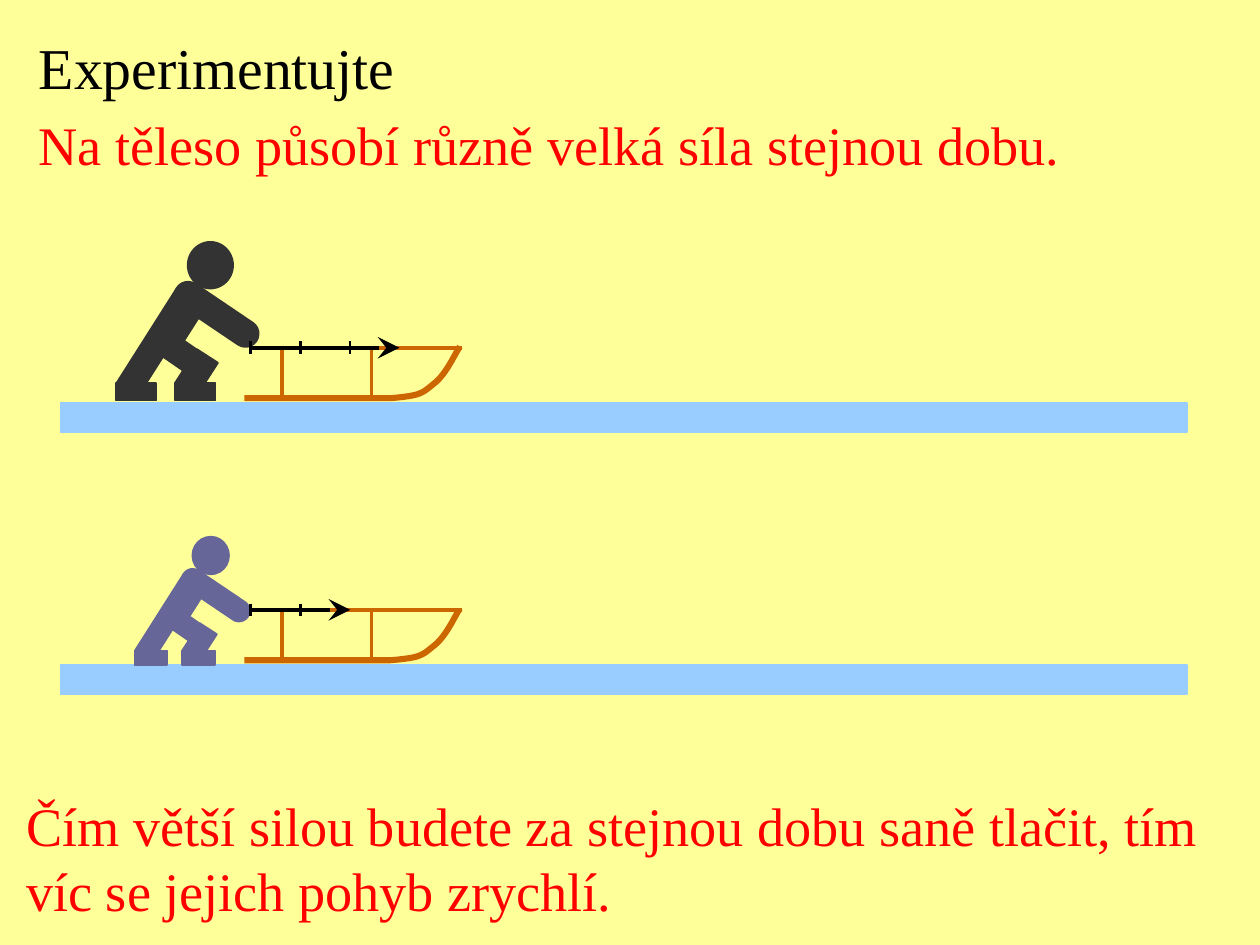
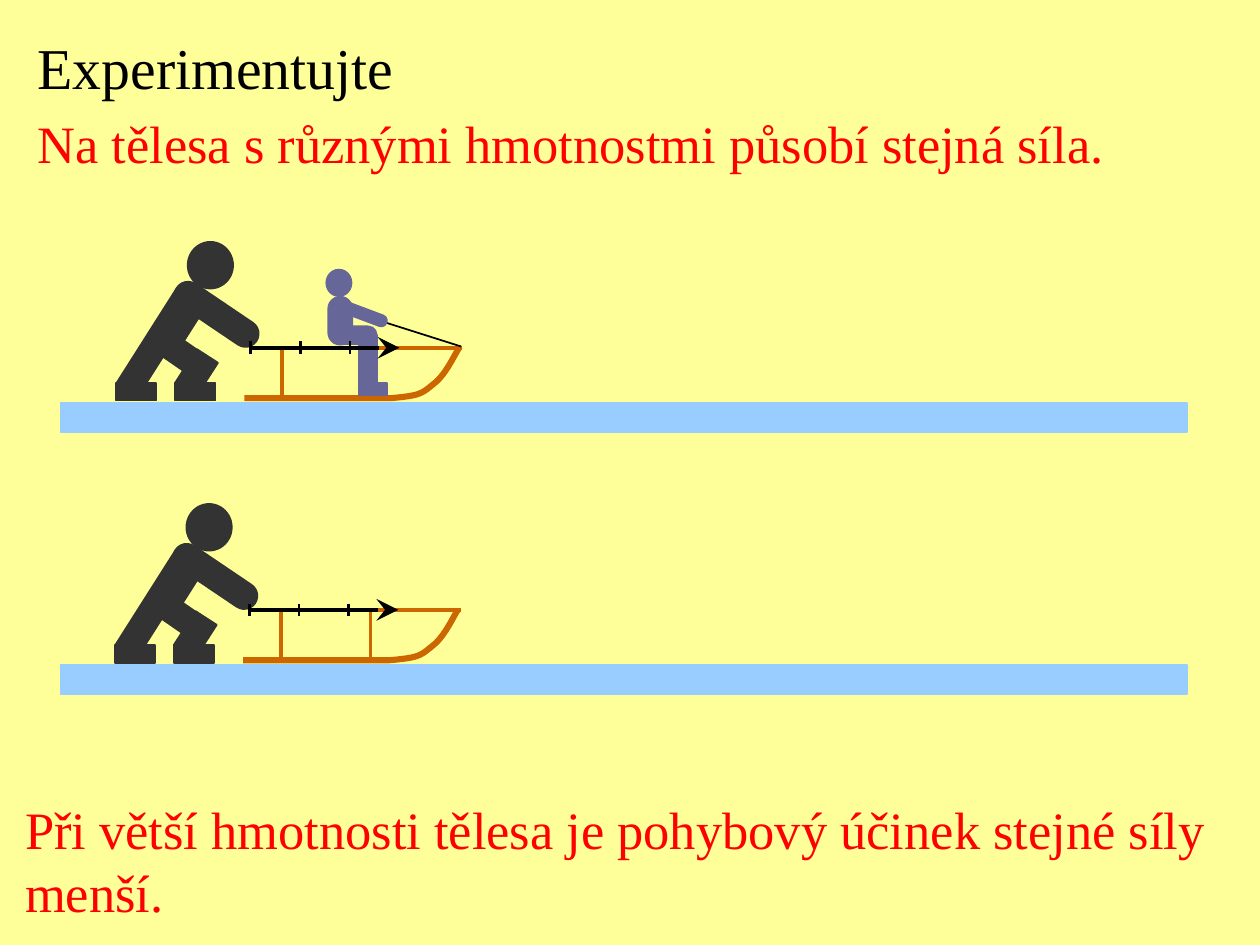
from dataclasses import dataclass

from lxml.etree import SubElement
from pptx import Presentation
from pptx.dml.color import RGBColor
from pptx.enum.shapes import MSO_CONNECTOR, MSO_SHAPE
from pptx.enum.text import MSO_AUTO_SIZE
from pptx.oxml.ns import qn
from pptx.util import Pt

PIXEL = 9144


@dataclass(frozen=True)
class Theme:
    background: str = "FFFF99"
    ice: str = "99CCFF"
    wood: str = "CC6600"
    adult: str = "333333"
    child: str = "666699"
    ink: str = "000000"
    accent: str = "FF0000"
    font: str = "Times New Roman"
    title_size: int = 33
    title_gap: float = 6.1
    hairline: float = 1
    tick_width: float = 1.5
    beam_width: float = 2
    arrow_width: float = 2.5
    runner_width: float = 3.5


@dataclass(frozen=True)
class Box:
    left: int
    top: int
    width: int
    height: int


THEME = Theme()

PUSHER_HEIGHT = 124
PUSHER_PARTS = [
    (MSO_SHAPE.RECTANGLE, 14, 35, 20, 89, 32.4),
    (MSO_SHAPE.RECTANGLE, 0, 103, 14, 32, 90),
    (MSO_SHAPE.RECTANGLE, 47, 103, 14, 32, 90),
    (MSO_SHAPE.RECTANGLE, 45, 88, 20, 32, 32.8),
    (MSO_SHAPE.RECTANGLE, 30, 74, 20, 26, 304.7),
    (MSO_SHAPE.RECTANGLE, 35, 39, 20, 42, 32.4),
    (MSO_SHAPE.ROUNDED_RECTANGLE, 33, 47, 76, 21, 34),
    (MSO_SHAPE.OVAL, 48, 0, 36, 37, 0),
]
RIDER_HEIGHT = 100
RIDER_PARTS = [
    (MSO_SHAPE.RECTANGLE, 40, 84, 10, 22, 90),
    (MSO_SHAPE.ROUNDED_RECTANGLE, 11, 45, 37, 14, 0),
    (MSO_SHAPE.OVAL, 8, 0, 20, 21, 0),
    (MSO_SHAPE.ROUNDED_RECTANGLE, 0, 31, 38, 19, 270),
    (MSO_SHAPE.ROUNDED_RECTANGLE, 19, 31, 38, 9, 200.6),
    (MSO_SHAPE.RECTANGLE, 34, 52, 14, 42, 0),
]
RUNNER_CURVES = [
    ((116, 41), (141, 39), (141, 37), (151, 29)),
    ((151, 29), (160, 22), (167, 6), (171, 0)),
]


def emu(length):
    return round(length * PIXEL)


def color(value):
    return RGBColor.from_string(value)


def apply_format(target, values):
    for name, value in values.items():
        setattr(target, name, value)


def add_shape(slide, kind, box, fill, outlined=True, rotation=0):
    shape = slide.shapes.add_shape(
        kind, emu(box.left), emu(box.top), emu(box.width), emu(box.height))
    shape.shadow.inherit = False
    shape.rotation = rotation
    shape.fill.solid()
    shape.fill.fore_color.rgb = color(fill)
    if outlined:
        shape.line.color.rgb = color(fill)
        shape.line.width = Pt(THEME.hairline)
    else:
        shape.line.fill.background()
    if kind == MSO_SHAPE.ROUNDED_RECTANGLE:
        shape.adjustments[0] = 0.5
    return shape


def add_line(slide, start, end, stroke, width, arrow=False):
    connector = slide.shapes.add_connector(
        MSO_CONNECTOR.STRAIGHT, *(emu(value) for value in (*start, *end)))
    connector.line.color.rgb = color(stroke)
    connector.line.width = Pt(width)
    if arrow:
        SubElement(connector.line._get_or_add_ln(), qn("a:tailEnd"),
                   type="stealth", w="lg", len="lg")
    SubElement(connector._element.spPr, qn("a:effectLst"))
    return connector


def add_text(slide, box, lines, gap=0):
    text_box = slide.shapes.add_textbox(
        emu(box.left), emu(box.top), emu(box.width), emu(box.height))
    frame = text_box.text_frame
    apply_format(frame, {"word_wrap": True, "auto_size": MSO_AUTO_SIZE.SHAPE_TO_FIT_TEXT})
    for index, (text, size, ink) in enumerate(lines):
        paragraph = frame.add_paragraph() if index else frame.paragraphs[0]
        paragraph.text = text
        if gap and index < len(lines) - 1:
            paragraph.space_after = Pt(gap)
        font = paragraph.runs[0].font
        apply_format(font, {"name": THEME.font, "size": Pt(size)})
        font.color.rgb = color(ink)


def add_figure(slide, box, parts, design_height, fill):
    scale = box.height / design_height
    for kind, left, top, width, height, rotation in parts:
        part = Box(box.left + left * scale, box.top + top * scale,
                   width * scale, height * scale)
        add_shape(slide, kind, part, fill, rotation=rotation)


def curve_points(controls, steps=12):
    for step in range(1, steps + 1):
        t = step / steps
        weights = ((1 - t) ** 3, 3 * t * (1 - t) ** 2, 3 * t ** 2 * (1 - t), t ** 3)
        yield tuple(sum(weight * point[axis] for weight, point in zip(weights, controls))
                    for axis in (0, 1))


def add_sled(slide, box, trimmed):
    points = [(116, 41)] + [point for curve in RUNNER_CURVES for point in curve_points(curve)]
    builder = slide.shapes.build_freeform(emu(box.left), emu(box.top + 41))
    builder.add_line_segments(
        [(emu(box.left + x), emu(box.top + y)) for x, y in points], close=False)
    runner = builder.convert_to_shape()
    runner.shadow.inherit = False
    runner.fill.background()
    runner.line.color.rgb = color(THEME.wood)
    runner.line.width = Pt(THEME.runner_width)
    for post in (101, 30):
        add_line(slide, (box.left + post, box.top), (box.left + post, box.top + box.height),
                 THEME.wood, THEME.beam_width)
    if trimmed:
        trim = Box(box.left + 161, box.top - 5, 13, 6)
        add_shape(slide, MSO_SHAPE.RECTANGLE, trim, THEME.background, outlined=False)
    add_line(slide, (box.left + box.width, box.top + 1), (box.left + 4, box.top + 1),
             THEME.wood, THEME.beam_width)


def add_rider(slide, box):
    add_line(slide, (box.left + 55, box.top + 42), (box.left + 115, box.top + 61),
             THEME.ink, THEME.hairline)
    add_figure(slide, box, RIDER_PARTS, RIDER_HEIGHT, THEME.child)


def add_force(slide, box, units):
    middle = box.top + box.height / 2
    add_line(slide, (box.left, middle), (box.left + box.width, middle),
             THEME.ink, THEME.arrow_width, arrow=True)
    for index in range(units):
        tick = box.left + index * box.width / units
        add_line(slide, (tick, box.top), (tick, box.top + box.height),
                 THEME.ink, THEME.tick_width)


def add_scene(slide, box, shift=0, weak=False, rider=False, trimmed=False):
    left = box.left + shift
    track = Box(box.left, box.top + 128, box.width, 23)
    add_shape(slide, MSO_SHAPE.RECTANGLE, track, THEME.ice)
    add_sled(slide, Box(left + 146, box.top + 83, 173, 42), trimmed)
    if rider:
        add_rider(slide, Box(left + 203, box.top + 22, 60, RIDER_HEIGHT))
    if weak:
        pusher, fill, units = Box(left + 66, box.top + 26, 88, 100), THEME.child, 2
    else:
        pusher, fill, units = Box(left + 53, box.top, 109, PUSHER_HEIGHT), THEME.adult, 3
    add_figure(slide, pusher, PUSHER_PARTS, PUSHER_HEIGHT, fill)
    add_force(slide, Box(left + 151, box.top + 79, round(units * 39.4), 10), units)


def add_experiment(presentation, claim, conclusion, size, title_box, conclusion_box, scenes):
    slide = presentation.slides.add_slide(presentation.slide_layouts[6])
    slide.background.fill.solid()
    slide.background.fill.fore_color.rgb = color(THEME.background)
    add_text(slide, title_box, [("Experimentujte", THEME.title_size, THEME.ink),
                                (claim, size, THEME.accent)], THEME.title_gap)
    add_text(slide, conclusion_box, [(line, size, THEME.accent) for line in conclusion])
    for index, options in enumerate(scenes):
        add_scene(slide, Box(48, 192 + index * 208, 894, 151), **options)


def main():
    presentation = Presentation()
    apply_format(presentation, {"slide_width": emu(1000), "slide_height": emu(750)})
    add_experiment(
        presentation,
        "Na těleso působí různě velká síla stejnou dobu.",
        ["Čím větší silou budete za stejnou dobu saně tlačit, tím",
         "víc se jejich pohyb zrychlí."],
        31, Box(21, 20, 845, 125), Box(11, 624, 975, 114),
        [{}, {"weak": True, "trimmed": True}])
    add_experiment(
        presentation,
        "Na tělesa s různými hmotnostmi působí stejná síla.",
        ["Při větší hmotnosti tělesa je pohybový účinek stejné síly", "menší."],
        30, Box(20, 20, 885, 124), Box(10, 628, 975, 110),
        [{"rider": True}, {"shift": -1, "trimmed": True}])
    presentation.save("out.pptx")


if __name__ == "__main__":
    main()
